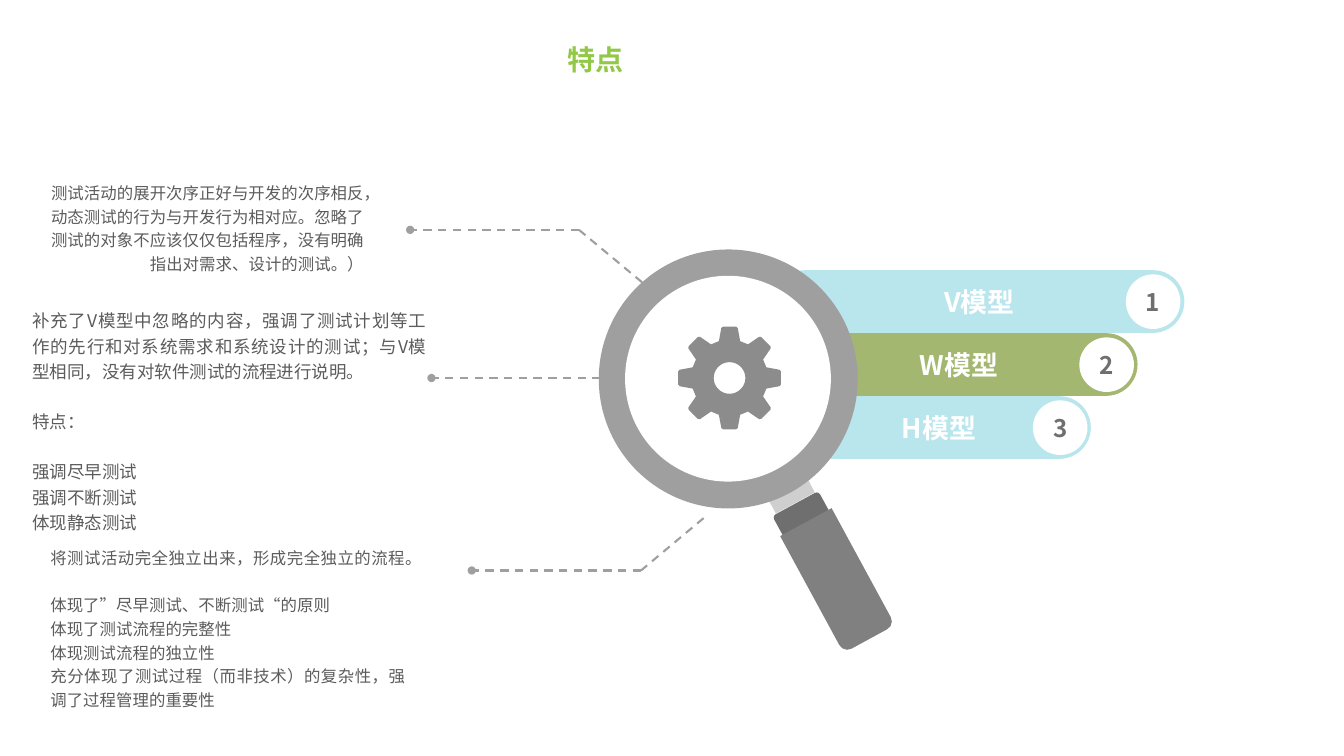
from dataclasses import dataclass
from math import cos, radians, sin

from lxml.etree import SubElement
from pptx import Presentation
from pptx.dml.color import RGBColor
from pptx.enum.dml import MSO_LINE_DASH_STYLE as Dash
from pptx.enum.shapes import MSO_CONNECTOR as Connector
from pptx.enum.shapes import MSO_SHAPE as Preset
from pptx.enum.text import MSO_ANCHOR as Anchor
from pptx.enum.text import MSO_AUTO_SIZE as AutoSize
from pptx.enum.text import PP_ALIGN as Align
from pptx.oxml.ns import qn
from pptx.shapes.base import BaseShape
from pptx.shapes.shapetree import SlideShapes
from pptx.text.text import TextFrame
from pptx.util import Pt

FONT = "Noto Sans CJK SC"
WHITE = RGBColor(0xFF, 0xFF, 0xFF)
AQUA = RGBColor(0xB8, 0xE6, 0xEC)
OLIVE = RGBColor(0xA3, 0xB7, 0x70)
LIME = RGBColor(0x91, 0xC8, 0x45)
BODY = RGBColor(0x5C, 0x5C, 0x5C)
COLLAR = RGBColor(0x6F, 0x6F, 0x6F)
HANDLE = RGBColor(0x80, 0x80, 0x80)
GEAR = RGBColor(0x8C, 0x8C, 0x8C)
RING = RGBColor(0x9F, 0x9F, 0x9F)
NECK = RGBColor(0xCF, 0xCF, 0xCF)

TILT = 331.5
GEAR_CENTER = (521.1, 270)
GEAR_HOLE_RADIUS = 11.3
TOOTH = [(-7.6, -26.3), (-5.9, -35.6), (-4.7, -36.7),
         (4.7, -36.7), (5.9, -35.6), (7.6, -26.3)]


@dataclass
class Bar:
    label: str
    color: RGBColor


@dataclass
class Note:
    box: tuple[float, float, float, float]
    size: float
    align: Align
    groups: list[list[str]]


@dataclass
class Part:
    preset: Preset
    box: tuple[float, float, float, float]
    color: RGBColor
    adjustments: tuple[float, ...] = ()


BARS = [Bar("V模型", AQUA), Bar("W模型", OLIVE), Bar("H模型", AQUA)]

LEADERS = [
    [(458.6, 201.6), (413.6, 164.2), (293, 164.2)],
    [(429.1, 270), (308.2, 270)],
    [(502.6, 370.1), (457.9, 407.5), (337, 407.5)],
]

NOTES = [
    Note((21.6, 123.1, 295.2, 90.7), 11.7, Align.RIGHT, [
        ["测试活动的展开次序正好与开发的次序相反，动态测试的行为与开发行为相对应。"
         "忽略了测试的对象不应该仅仅包括程序，没有明确指出对需求、设计的测试。）"],
    ]),
    Note((13.7, 213.8, 347.8, 169.9), 12.5, Align.JUSTIFY, [
        ["补充了V模型中忽略的内容，强调了测试计划等工作的先行和对系统需求和"
         "系统设计的测试；与V模型相同，没有对软件测试的流程进行说明。"],
        ["特点："],
        ["强调尽早测试", "强调不断测试", "体现静态测试"],
    ]),
    Note((26.6, 383.8, 319.7, 139), 11.7, Align.JUSTIFY, [
        ["将测试活动完全独立出来，形成完全独立的流程。"],
        ["体现了”尽早测试、不断测试“的原则", "体现了测试流程的完整性",
         "体现测试流程的独立性",
         "充分体现了测试过程（而非技术）的复杂性，强调了过程管理的重要性"],
    ]),
]

MAGNIFIER = [
    Part(Preset.RECTANGLE, (549.4, 347.8, 31.7, 12.2), NECK),
    Part(Preset.OVAL, (427.7, 178.2, 185, 185), RING),
    Part(Preset.OVAL, (446.5, 197, 147, 147), WHITE),
    Part(Preset.ROUND_2_SAME_RECTANGLE, (553.7, 358.6, 37.4, 18), COLLAR, (0.154, 0)),
    Part(Preset.ROUND_2_SAME_RECTANGLE, (577.4, 367.2, 41.8, 95), HANDLE, (0, 0.154)),
]


def write_text(frame: TextFrame, groups: list[list[str]], *, size: float,
               color: RGBColor, bold: bool = False, align: Align = Align.LEFT,
               line_spacing: float | None = None, gap: float = 0) -> None:
    paragraph = None
    for group_index, group in enumerate(groups):
        for index, text in enumerate(group):
            paragraph = frame.add_paragraph() if paragraph else frame.paragraphs[0]
            paragraph.alignment = align
            paragraph.line_spacing = line_spacing
            if group_index and not index:
                paragraph.space_before = Pt(gap)
            run = paragraph.add_run()
            run.text = text
            run.font.name = FONT
            run.font.size = Pt(size)
            run.font.bold = bold
            run.font.color.rgb = color
            SubElement(run.font._element, qn("a:ea")).set("typeface", FONT)


def paint(shape: BaseShape, color: RGBColor) -> None:
    shape.shadow.inherit = False
    shape.fill.solid()
    shape.fill.fore_color.rgb = color
    shape.line.fill.background()


def add_part(shapes: SlideShapes, part: Part) -> BaseShape:
    shape = shapes.add_shape(part.preset, *map(Pt, part.box))
    for index, value in enumerate(part.adjustments):
        shape.adjustments[index] = value
    paint(shape, part.color)
    return shape


def add_label(shapes: SlideShapes, part: Part, text: str, size: float,
              color: RGBColor) -> None:
    frame = add_part(shapes, part).text_frame
    frame.word_wrap = False
    frame.vertical_anchor = Anchor.MIDDLE
    write_text(frame, [[text]], size=size, color=color, bold=True, align=Align.CENTER)


def add_leader(shapes: SlideShapes, points: list[tuple[float, float]]) -> None:
    for start, end in zip(points, points[1:]):
        connector = shapes.add_connector(Connector.STRAIGHT, *map(Pt, start + end))
        connector.line.color.rgb = RING
        connector.line.width = Pt(1.5)
        connector.line.dash_style = Dash.DASH
        if end == points[-1]:
            SubElement(connector.line._get_or_add_ln(), qn("a:tailEnd")).set("type", "oval")
        SubElement(connector._element.spPr, qn("a:effectLst"))


def add_note(shapes: SlideShapes, note: Note) -> None:
    frame = shapes.add_textbox(*map(Pt, note.box)).text_frame
    frame.word_wrap = True
    frame.margin_left, frame.margin_right = Pt(9.4), Pt(56.9)
    frame.margin_top = frame.margin_bottom = Pt(5)
    write_text(frame, note.groups, size=note.size, color=BODY, align=note.align,
               line_spacing=1.2, gap=note.size * 1.44)


def add_gear(shapes: SlideShapes) -> None:
    def around(x: float, y: float, degrees: float) -> tuple[Pt, Pt]:
        angle = radians(degrees)
        return (Pt(GEAR_CENTER[0] + x * cos(angle) - y * sin(angle)),
                Pt(GEAR_CENTER[1] + x * sin(angle) + y * cos(angle)))

    outline = [around(x, y, turn) for turn in range(0, 360, 45) for x, y in TOOTH]
    hole = [around(0, GEAR_HOLE_RADIUS, -turn) for turn in range(0, 360, 10)]
    builder = shapes.build_freeform(*outline[0])
    builder.add_line_segments(outline[1:], close=True)
    builder.move_to(*hole[0])
    builder.add_line_segments(hole[1:], close=True)
    paint(builder.convert_to_shape(), GEAR)


def main() -> None:
    presentation = Presentation()
    presentation.slide_width, presentation.slide_height = Pt(960), Pt(540)
    shapes = presentation.slides.add_slide(presentation.slide_layouts[6]).shapes

    for index, bar in enumerate(BARS):
        box = (553 + 4.7 * index, 193 + 45 * index, 293 - 38.1 * index, 44.8)
        add_label(shapes, Part(Preset.ROUNDED_RECTANGLE, box, bar.color, (0.5,)),
                  bar.label, 19.2, WHITE)
    for index in range(len(BARS)):
        box = (804.2 - 33.2 * index, 196 + 45 * index, 39, 39)
        add_label(shapes, Part(Preset.OVAL, box, WHITE), str(index + 1), 17.3, COLLAR)

    for points in LEADERS:
        add_leader(shapes, points)
    for note in NOTES:
        add_note(shapes, note)
    for part in MAGNIFIER:
        add_part(shapes, part).rotation = TILT
    add_gear(shapes)

    title = shapes.add_textbox(Pt(398.2), Pt(26.6), Pt(329), Pt(31.7)).text_frame
    title.word_wrap = True
    title.auto_size = AutoSize.SHAPE_TO_FIT_TEXT
    write_text(title, [["特点"]], size=20, color=LIME, bold=True)

    presentation.save("out.pptx")


if __name__ == "__main__":
    main()
